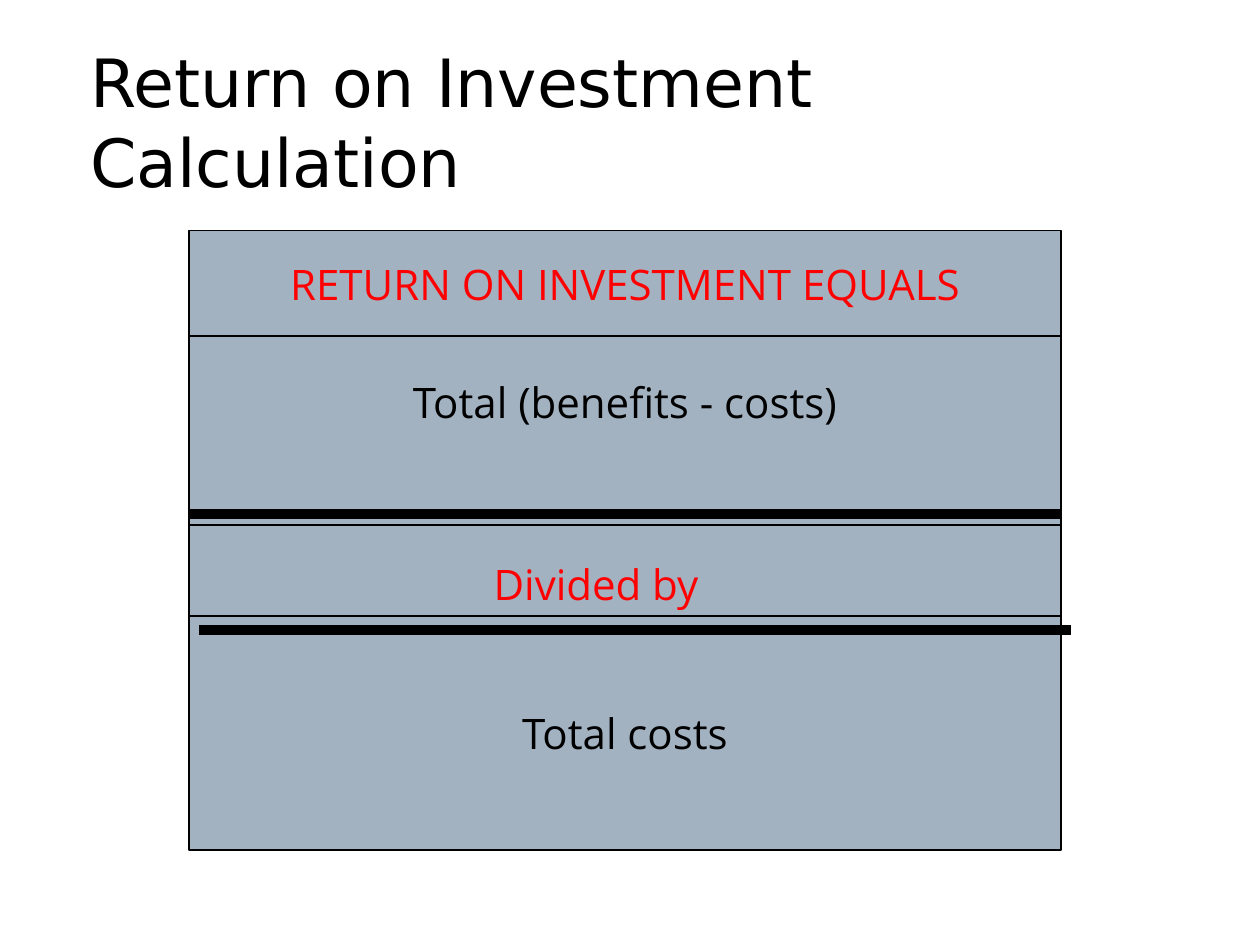
from dataclasses import dataclass

import pptx
import pptx.dml.color
import pptx.enum.shapes
import pptx.enum.text
import pptx.oxml.ns
import pptx.slide
import pptx.util
from lxml import etree

Cm = pptx.util.Cm
Pt = pptx.util.Pt
RGBColor = pptx.dml.color.RGBColor
Align = pptx.enum.text.PP_ALIGN
Anchor = pptx.enum.text.MSO_ANCHOR

BLACK = RGBColor(0x00, 0x00, 0x00)
RED = RGBColor(0xFF, 0x00, 0x00)
PANEL_BLUE = RGBColor(0xA3, 0xB2, 0xC1)
PANEL_LEFT = 3.81
PANEL_WIDTH = 17.58
PANEL_RIGHT = PANEL_LEFT + PANEL_WIDTH


@dataclass(frozen=True)
class Panel:
    top: float
    height: float
    text: str = ""
    color: RGBColor = BLACK
    bottom_inset: float = 0.13
    outlined: bool = True


@dataclass(frozen=True)
class Label:
    left: float
    top: float
    width: float
    height: float
    text: str
    size: float
    font: str
    color: RGBColor
    anchor: Anchor
    wrap: bool


@dataclass(frozen=True)
class Rule:
    start_x: float
    start_y: float
    end_x: float
    end_y: float
    weight: float


PANELS = [
    Panel(4.93, 7.77, outlined=False),
    Panel(6.78, 3.81, "Total (benefits - costs)", bottom_inset=1.28),
    Panel(12.42, 4.72, "Total costs"),
    Panel(4.65, 2.13, "RETURN ON INVESTMENT EQUALS", RED),
]
LABELS = [
    Label(1.57, 0.84, 21.59, 3.18, "Return on Investment Calculation",
          38, "DejaVu Sans", BLACK, Anchor.MIDDLE, True),
    Label(9.7, 11.13, 4.7, 1.27, "Divided by",
          24, "Open Sans", RED, Anchor.TOP, False),
]
RULES = [
    Rule(PANEL_LEFT, 4.9, PANEL_LEFT, 17.14, 1),
    Rule(4.01, 12.7, 4.01 + PANEL_WIDTH, 12.7, 6),
    Rule(PANEL_RIGHT, 6.78, PANEL_RIGHT, 12.9, 1),
    Rule(PANEL_LEFT, 10.36, PANEL_RIGHT, 10.36, 6),
]


def apply_format(target: object, values: dict) -> None:
    for name, value in values.items():
        setattr(target, name, value)


def write_text(shape, text: str, frame_format: dict, font_format: dict,
               color: RGBColor, alignment: Align) -> None:
    apply_format(shape.text_frame, frame_format)
    paragraph = shape.text_frame.paragraphs[0]
    paragraph.alignment = alignment
    run = paragraph.add_run()
    run.text = text
    apply_format(run.font, font_format)
    run.font.color.rgb = color


def draw_panel(slide: pptx.slide.Slide, panel: Panel) -> None:
    shape = slide.shapes.add_shape(
        pptx.enum.shapes.MSO_SHAPE.RECTANGLE,
        Cm(PANEL_LEFT), Cm(panel.top), Cm(PANEL_WIDTH), Cm(panel.height))
    shape.shadow.inherit = False
    shape.fill.solid()
    shape.fill.fore_color.rgb = PANEL_BLUE
    if panel.outlined:
        shape.line.color.rgb = BLACK
        shape.line.width = Pt(1)
    else:
        shape.line.fill.background()
    if panel.text:
        frame_format = {"word_wrap": False, "vertical_anchor": Anchor.MIDDLE,
                        "margin_bottom": Cm(panel.bottom_inset)}
        font_format = {"name": "Open Sans", "size": Pt(24)}
        write_text(shape, panel.text, frame_format, font_format,
                   panel.color, Align.CENTER)


def draw_label(slide: pptx.slide.Slide, label: Label) -> None:
    shape = slide.shapes.add_textbox(
        Cm(label.left), Cm(label.top), Cm(label.width), Cm(label.height))
    frame_format = {"word_wrap": label.wrap, "vertical_anchor": label.anchor}
    font_format = {"name": label.font, "size": Pt(label.size)}
    write_text(shape, label.text, frame_format, font_format,
               label.color, Align.LEFT)


def draw_rule(slide: pptx.slide.Slide, rule: Rule) -> None:
    connector = slide.shapes.add_connector(
        pptx.enum.shapes.MSO_CONNECTOR.STRAIGHT,
        Cm(rule.start_x), Cm(rule.start_y), Cm(rule.end_x), Cm(rule.end_y))
    connector.line.color.rgb = BLACK
    connector.line.width = Pt(rule.weight)
    etree.SubElement(connector._element.spPr, pptx.oxml.ns.qn("a:effectLst"))


def main() -> None:
    presentation = pptx.Presentation()
    apply_format(presentation, {"slide_width": Cm(25.4), "slide_height": Cm(19.05)})
    slide = presentation.slides.add_slide(presentation.slide_layouts[6])
    for panel in PANELS:
        draw_panel(slide, panel)
    for label in LABELS:
        draw_label(slide, label)
    for rule in RULES:
        draw_rule(slide, rule)
    presentation.save("out.pptx")


if __name__ == "__main__":
    main()
